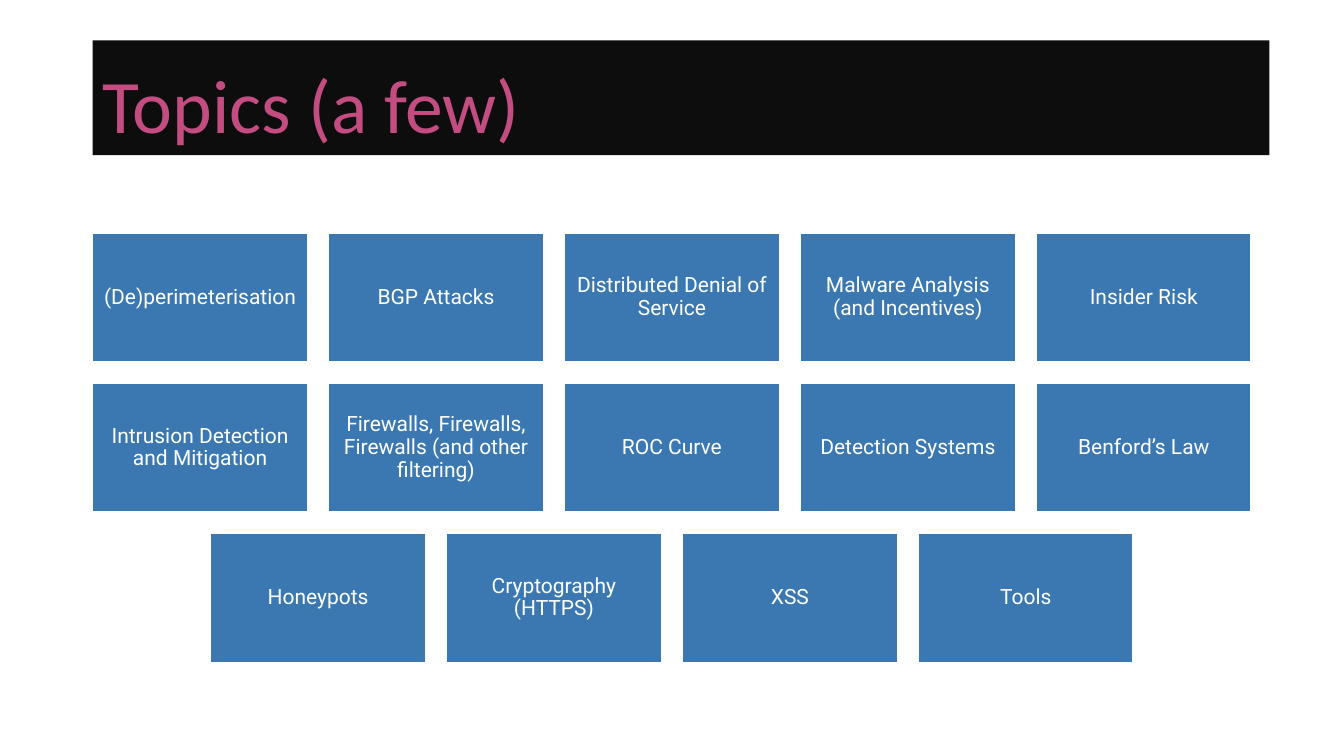
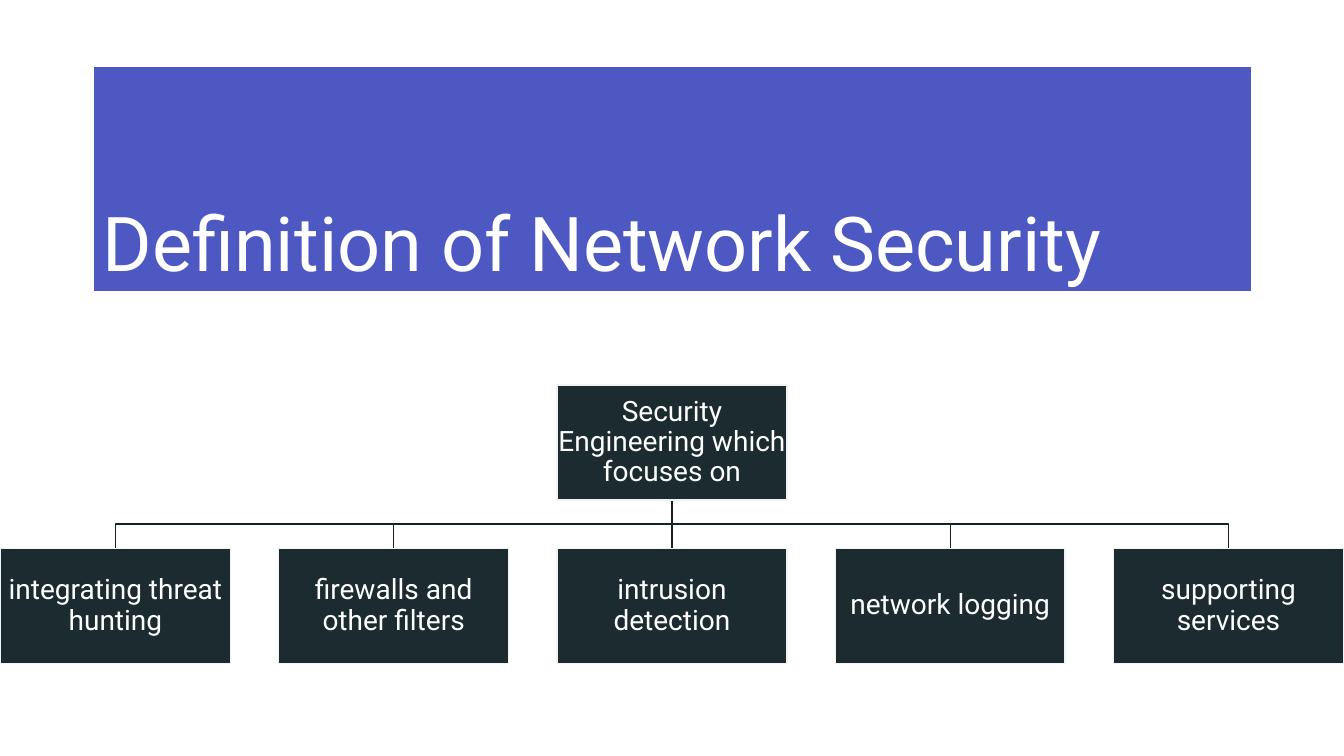
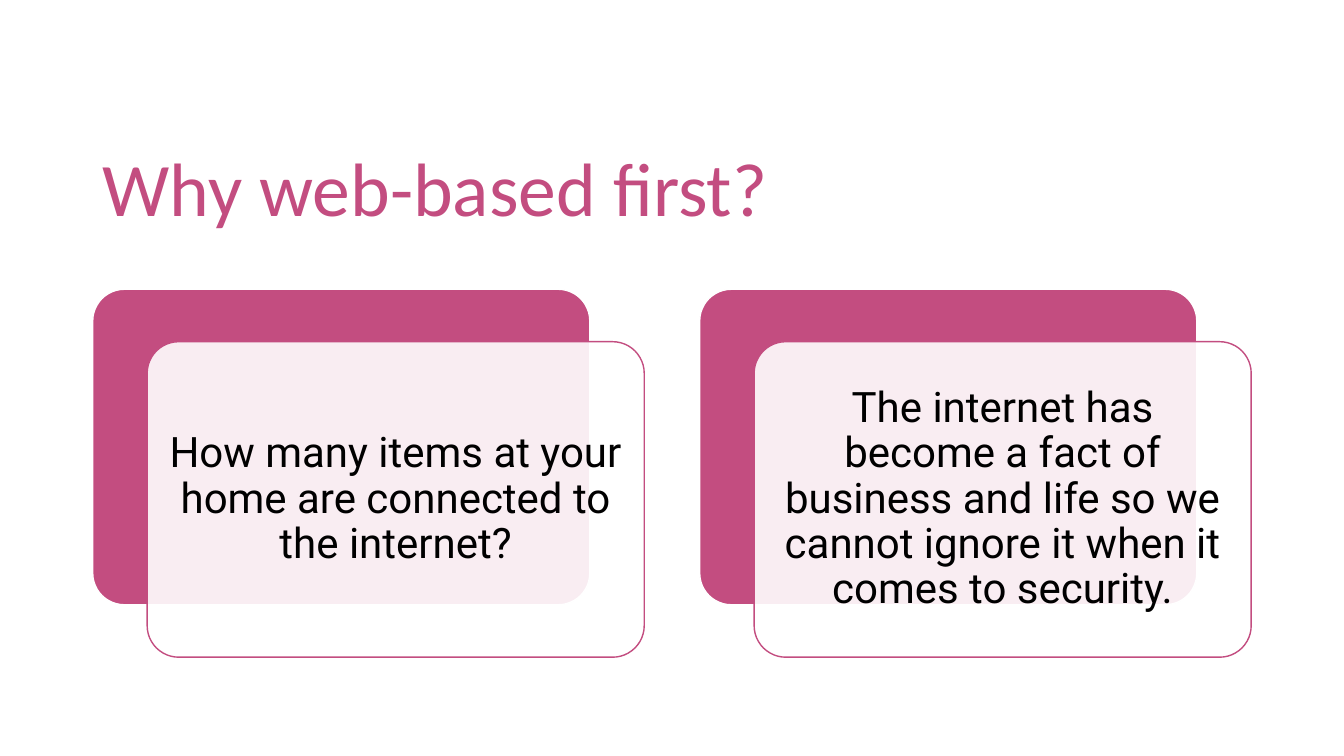
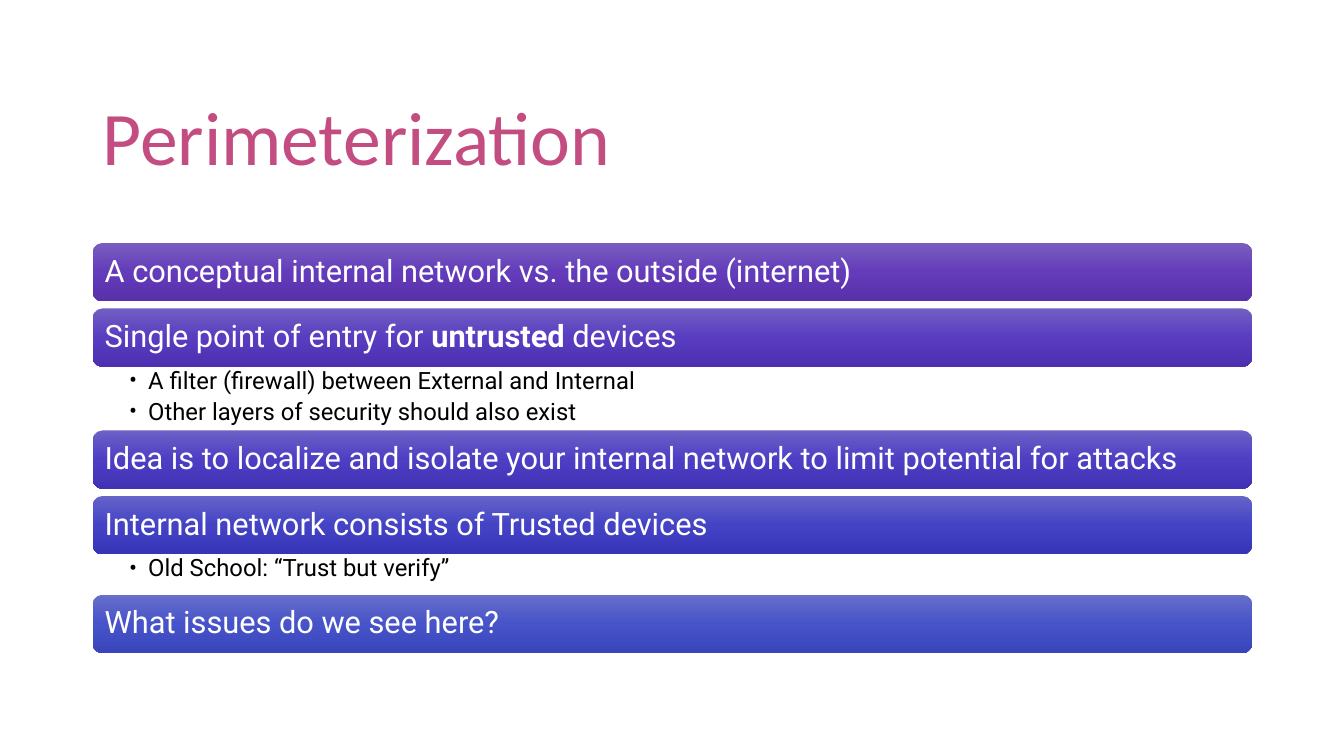
"""Build four network security slides."""
import copy

import pptx
import pptx.dml.color
import pptx.enum.shapes
import pptx.enum.text
import pptx.oxml.ns
import pptx.util
from lxml import etree

Inches = pptx.util.Inches
Pt = pptx.util.Pt
RGBColor = pptx.dml.color.RGBColor
SHAPE = pptx.enum.shapes.MSO_SHAPE
ANCHOR = pptx.enum.text.MSO_ANCHOR
ALIGN = pptx.enum.text.PP_ALIGN
qn = pptx.oxml.ns.qn

WHITE = RGBColor(0xFF, 0xFF, 0xFF)
BLACK = RGBColor(0x00, 0x00, 0x00)
NEAR_BLACK = RGBColor(0x0D, 0x0D, 0x0D)
PINK = RGBColor(0xC3, 0x4D, 0x80)
BLUE = RGBColor(0x3B, 0x78, 0xB1)
INDIGO = RGBColor(0x4D, 0x58, 0xC3)
SLATE = RGBColor(0x1B, 0x2B, 0x30)
BRANCH = RGBColor(0x16, 0x22, 0x26)
PALE = RGBColor(0xF0, 0xF3, 0xF2)

SLIDE_WIDTH = 13.33
MARGIN = 0.92
CONTENT_WIDTH = 11.5

TOPIC_ROWS = [
    ["(De)perimeterisation", "BGP Attacks", "Distributed Denial of Service",
     "Malware Analysis (and Incentives)", "Insider Risk"],
    ["Intrusion Detection and Mitigation",
     "Firewalls, Firewalls, Firewalls (and other filtering)",
     "ROC Curve", "Detection Systems", "Benford’s Law"],
    ["Honeypots", "Cryptography (HTTPS)", "XSS", "Tools"],
]
DEFINITION = "Security Engineering which focuses on"
FOCUS_AREAS = ["integrating threat hunting", "firewalls and other filters",
               "intrusion detection", "network logging", "supporting services"]
REASONS = [
    "How many items at your home are connected to the internet?",
    "The internet has become a fact of business and life so we cannot ignore it "
    "when it comes to security.",
]
POINTS = [
    ("A conceptual internal network vs. the outside (internet)",
     ("785EBF", "643BBA", "5730AA"), []),
    ("Single point of entry for *untrusted* devices",
     ("715FC3", "593CC0", "4C30B0"),
     ["A filter (firewall) between External and Internal",
      "Other layers of security should also exist"]),
    ("Idea is to localize and isolate your internal network to limit potential for attacks",
     ("6B61C6", "4E3EC4", "4031B5"), []),
    ("Internal network consists of Trusted devices",
     ("6564C8", "4443C6", "3635B7"), ["Old School: “Trust but verify”"]),
    ("What issues do we see here?", ("676FCA", "4753C9", "3945B9"), []),
]


def write(shape, *paragraphs, size, color, font="Roboto", align=ALIGN.LEFT,
          anchor=ANCHOR.MIDDLE, insets=(0.1, 0.05, 0.1, 0.05), spacing=0.9,
          after=0, bullet=None):
    """Fill a shape with paragraphs, with asterisks around bold words."""
    frame = shape.text_frame
    frame.word_wrap = True
    frame.vertical_anchor = anchor
    (frame.margin_left, frame.margin_top,
     frame.margin_right, frame.margin_bottom) = map(Inches, insets)
    for index, text in enumerate(paragraphs):
        paragraph = frame.add_paragraph() if index else frame.paragraphs[0]
        paragraph.alignment = align
        paragraph.line_spacing = spacing
        paragraph.space_after = Pt(after)
        if bullet:
            properties = paragraph._p.get_or_add_pPr()
            properties.set("marL", str(Inches(0.19)))
            properties.set("indent", str(-Inches(0.19)))
            etree.SubElement(properties, qn("a:buFont")).set("typeface", font)
            etree.SubElement(properties, qn("a:buChar")).set("char", bullet)
        for part, words in enumerate(text.split("*")):
            run = paragraph.add_run()
            run.text = words
            run.font.name = font
            run.font.size = Pt(size)
            run.font.bold = part % 2 == 1
            run.font.color.rgb = color


def add_box(slide, left, top, width, height, kind=SHAPE.RECTANGLE, fill=None,
            line=None, line_width=1, corner=None):
    """Add a preset shape with a plain fill and outline."""
    box = slide.shapes.add_shape(kind, *map(Inches, (left, top, width, height)))
    box.shadow.inherit = False
    if fill is None:
        box.fill.background()
    else:
        box.fill.solid()
        box.fill.fore_color.rgb = fill
    if line is None:
        box.line.fill.background()
    else:
        box.line.color.rgb = line
        box.line.width = Pt(line_width)
    if corner is not None:
        box.adjustments[0] = corner
    return box


def add_title(slide, text, top, height, width=CONTENT_WIDTH, color=PINK,
              font="Calibri", **box_format):
    """Add the title band."""
    band = add_box(slide, MARGIN, top, width, height, **box_format)
    write(band, text, size=54, color=color, font=font, anchor=ANCHOR.BOTTOM)


def add_branch(slide, start_x, start_y, end_x, end_y):
    """Join a parent to a child, with an elbow where they are not aligned."""
    if abs(end_x - start_x) < 0.01:
        branch = slide.shapes.add_connector(
            pptx.enum.shapes.MSO_CONNECTOR.STRAIGHT,
            *map(Inches, (start_x, start_y, start_x, end_y)))
        etree.SubElement(branch._element.spPr, qn("a:effectLst"))
    else:
        bend = (start_y + end_y) / 2
        corners = [(start_x, bend), (end_x, bend), (end_x, end_y)]
        outline = slide.shapes.build_freeform(Inches(start_x), Inches(start_y))
        outline.add_line_segments(
            [(Inches(x), Inches(y)) for x, y in corners], close=False)
        branch = outline.convert_to_shape()
        branch.fill.background()
        branch.shadow.inherit = False
    branch.line.color.rgb = BRANCH
    branch.line.width = Pt(1)


def centred_lefts(count, width, gap):
    """Return the left edges of a row centred on the slide."""
    start = (SLIDE_WIDTH - count * width - (count - 1) * gap) / 2
    return [start + index * (width + gap) for index in range(count)]


def shade(shape, colors):
    """Give a shape a vertical gradient of three colours."""
    shape.fill.gradient()
    shape.fill.gradient_angle = 270
    stop_list = shape._element.spPr.find(".//" + qn("a:gsLst"))
    stop_list.insert(1, copy.deepcopy(stop_list[0]))
    for stop, position, color in zip(shape.fill.gradient_stops, (0, 0.5, 1), colors):
        stop.position = position
        stop.color.rgb = RGBColor.from_string(color)


def build_topics(slide):
    """Lay out the topic tiles."""
    add_title(slide, "Topics (a few)", 0.4, 1.14, width=11.67, fill=NEAR_BLACK)
    width, height, gap = 2.13, 1.28, 0.21
    for row, topics in enumerate(TOPIC_ROWS):
        top = 2.31 + row * (height + gap)
        for left, topic in zip(centred_lefts(len(topics), width, gap), topics):
            tile = add_box(slide, left, top, width, height, fill=BLUE, line=WHITE)
            write(tile, topic, size=15, color=WHITE, align=ALIGN.CENTER,
                  insets=[0.06] * 4)


def build_definition(slide):
    """Lay out the definition tree."""
    add_title(slide, "Definition of Network Security", 0.65, 2.25, color=WHITE,
              font="Roboto", fill=INDIGO, line=WHITE, line_width=1.5)
    width, height, gap = 2.28, 1.14, 0.48
    root_top, leaf_top = 3.82, 5.44
    middle = SLIDE_WIDTH / 2
    lefts = centred_lefts(len(FOCUS_AREAS), width, gap)
    for left in reversed(lefts):
        add_branch(slide, middle, root_top + height, left + width / 2, leaf_top)
    nodes = [(middle - width / 2, root_top, DEFINITION)]
    nodes += [(left, leaf_top, area) for left, area in zip(lefts, FOCUS_AREAS)]
    for left, top, text in nodes:
        node = add_box(slide, left, top, width, height, fill=SLATE, line=PALE)
        write(node, text, size=20, color=WHITE, align=ALIGN.CENTER,
              insets=[0.01] * 4)


def build_reasons(slide):
    """Lay out the two layered cards."""
    add_title(slide, "Why web-based first?", 0.4, 1.96)
    width, height, top = 4.93, 3.13, 2.87
    for index, reason in enumerate(REASONS):
        left = MARGIN + index * 6.02
        add_box(slide, left, top, width, height, kind=SHAPE.ROUNDED_RECTANGLE,
                fill=PINK, line=WHITE, corner=0.1)
        card = add_box(slide, left + 0.54, top + 0.52, width, height,
                       kind=SHAPE.ROUNDED_RECTANGLE, fill=WHITE, line=PINK, corner=0.1)
        fill_color = card._element.spPr.find(qn("a:solidFill"))[0]
        etree.SubElement(fill_color, qn("a:alpha")).set("val", "90000")
        write(card, reason, size=30, color=BLACK, align=ALIGN.CENTER,
              insets=[0.11] * 4)


def build_perimeter(slide):
    """Stack the gradient bars and their bullets."""
    add_title(slide, "Perimeterization", 0.4, 1.45)
    bar_height, gap, top = 0.58, 0.07, 2.41
    for point, colors, details in POINTS:
        bar = add_box(slide, MARGIN, top, CONTENT_WIDTH, bar_height,
                      kind=SHAPE.ROUNDED_RECTANGLE)
        shade(bar, colors)
        write(bar, point, size=22, color=WHITE, insets=[0.09] * 4)
        top += bar_height
        if details:
            height = 0.17 + 0.23 * len(details)
            bullets = slide.shapes.add_textbox(
                *map(Inches, (MARGIN, top, CONTENT_WIDTH, height)))
            write(bullets, *details, size=17, color=BLACK, anchor=ANCHOR.TOP,
                  insets=(0.36, 0.02, 0.17, 0.03), after=4, bullet="•")
            top += height
        else:
            top += gap


def main():
    """Build and save the presentation."""
    deck = pptx.Presentation()
    deck.slide_width = Inches(SLIDE_WIDTH)
    deck.slide_height = Inches(7.5)
    for build in (build_topics, build_definition, build_reasons, build_perimeter):
        build(deck.slides.add_slide(deck.slide_layouts[6]))
    deck.save("out.pptx")


if __name__ == "__main__":
    main()
